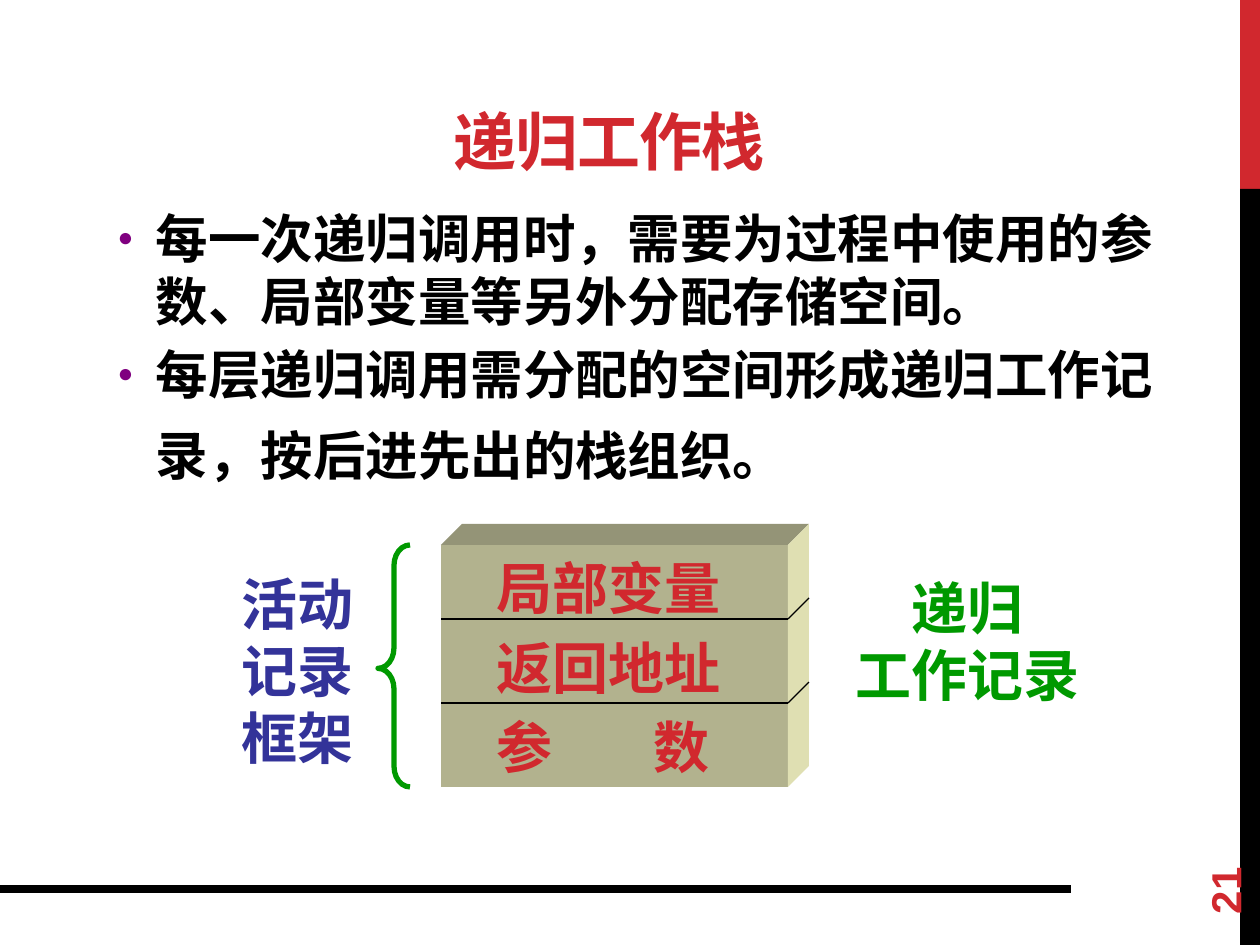
"""Build the slide on the recursion work stack."""
from dataclasses import dataclass

import pptx
import pptx.util
import pptx.dml.color
import pptx.enum.shapes
import pptx.enum.text
import pptx.oxml
import pptx.oxml.ns

SHAPE = pptx.enum.shapes.MSO_SHAPE
ALIGN = pptx.enum.text.PP_ALIGN
ANCHOR = pptx.enum.text.MSO_ANCHOR
SCALE = 914400 / 126


@dataclass(frozen=True)
class Theme:
    red: str = "D1282E"
    black: str = "000000"
    purple: str = "800080"
    green: str = "009900"
    blue: str = "333399"
    front: str = "B2B28E"
    top: str = "949477"
    side: str = "DFDFB2"
    title_size: int = 36
    body_size: int = 30
    tail_size: int = 40
    label_size: int = 32
    number_size: int = 24
    title_font: str = "Montserrat"
    body_font: str = "Arial"
    label_font: str = "Times New Roman"


THEME = Theme()
TITLE = "递归工作栈"
POINTS = [
    "每一次递归调用时，需要为过程中使用的参数、局部变量等另外分配存储空间。",
    "每层递归调用需分配的空间形成递归工作记录，按后进先出的栈组织。",
]
FIELDS = ["局部变量", "返回地址", "参\t数"]
FRAME_LABEL = ["活动记录框架"]
RECORD_LABEL = ["递归", "工作记录"]
PAGE_NUMBER = ["21"]
SIDE_BARS = [(0, 189, THEME.red), (189, 756, THEME.black)]
STACK = dict(left=441, top=545, right=788, bottom=787, depth=21)
DIVIDERS = [619, 703]


def px(length):
    return pptx.util.Emu(round(length * SCALE))


def rgb(colour):
    return pptx.dml.color.RGBColor.from_string(colour)


def place(shape, left, top, width, height):
    shape.left, shape.top, shape.width, shape.height = map(px, (left, top, width, height))


def write(box, lines, *, size, font, colour, align=ALIGN.LEFT, anchor=ANCHOR.TOP,
          wrap=True, gap=0, spacing=1.0):
    frame = box.text_frame
    frame.auto_size = pptx.enum.text.MSO_AUTO_SIZE.NONE
    frame.word_wrap = wrap
    frame.vertical_anchor = anchor
    for index, line in enumerate(lines):
        para = frame.paragraphs[0] if index == 0 else frame.add_paragraph()
        para.alignment = align
        para.line_spacing = spacing
        para.space_before = pptx.util.Pt(gap if index else 0)
        span = para.add_run()
        span.text = line
        span.font.size = pptx.util.Pt(size)
        span.font.name = font
        span.font.bold = True
        span.font.color.rgb = rgb(colour)
    return frame.paragraphs


def add_text(page, place_px, lines, **style):
    box = page.shapes.add_textbox(*map(px, place_px))
    write(box, lines, **style)
    return box


def paint(shape, colour):
    shape.shadow.inherit = False
    shape.fill.solid()
    shape.fill.fore_color.rgb = rgb(colour)
    shape.line.fill.background()


def add_block(page, place_px, colour):
    paint(page.shapes.add_shape(SHAPE.RECTANGLE, *map(px, place_px)), colour)


def add_face(page, corners, colour):
    builder = page.shapes.build_freeform(*corners[0], scale=SCALE)
    builder.add_line_segments(corners[1:], close=True)
    paint(builder.convert_to_shape(), colour)


def add_line(page, start, end, width):
    line = page.shapes.add_connector(
        pptx.enum.shapes.MSO_CONNECTOR.STRAIGHT, *map(px, start + end))
    line.line.color.rgb = rgb(THEME.black)
    line.line.width = pptx.util.Pt(width)
    line._element.spPr.append(pptx.oxml.parse_xml(
        f"<a:effectLst {pptx.oxml.ns.nsdecls('a')}/>"))


def append_xml(para, *elements):
    props = para._p.get_or_add_pPr()
    for element in elements:
        tag, rest = element.split(" ", 1)
        props.append(pptx.oxml.parse_xml(
            f"<a:{tag} {pptx.oxml.ns.nsdecls('a')} {rest}"))
    return props


def add_master_parts(page):
    for top, bottom, colour in SIDE_BARS:
        add_block(page, (1240, top, 20, bottom + 189 - top if top else bottom), colour)
    add_line(page, (0, 889), (1071, 889), 4.5)


def add_outline(page):
    title, body = page.shapes.title, page.placeholders[1]
    place(title, 189, 73, 840, 111)
    heading = write(title, [TITLE], size=THEME.title_size, font=THEME.title_font,
                    colour=THEME.red, align=ALIGN.CENTER, anchor=ANCHOR.BOTTOM)
    heading[0].runs[0]._r.get_or_add_rPr().set("spc", "-60")
    place(body, 105, 200, 1071, 704)
    points = write(body, POINTS, size=THEME.body_size, font=THEME.body_font,
                   colour=THEME.black, gap=5.8)
    for para in points:
        props = append_xml(
            para, f'buClr ><a:srgbClr val="{THEME.purple}"/></a:buClr>',
            'buSzPct val="50000"/>', 'buFont typeface="Arial"/>', 'buChar char="●"/>')
        props.set("marL", str(px(38)))
        props.set("indent", str(px(-38)))
    tail = points[-1].add_run()
    tail.text = " "
    tail.font.size = pptx.util.Pt(THEME.tail_size)
    tail.font.name = THEME.body_font


def add_stack(page):
    left, top, right, bottom, depth = STACK.values()
    add_block(page, (left, top, right - left, bottom - top), THEME.front)
    add_face(page, [(left, top), (left + depth, top - depth),
                    (right + depth, top - depth), (right, top)], THEME.top)
    add_face(page, [(right, top), (right + depth, top - depth),
                    (right + depth, bottom - depth), (right, bottom)], THEME.side)
    for level in DIVIDERS:
        add_line(page, (left, level), (right, level), 0.75)
        add_line(page, (right, level), (right + depth, level - depth), 0.75)
    brace = page.shapes.add_shape(
        SHAPE.LEFT_BRACE, *map(px, (378, top, 32, bottom - top)))
    brace.shadow.inherit = False
    brace.adjustments[0], brace.adjustments[1] = 0.64, 0.51
    brace.fill.background()
    brace.line.color.rgb = rgb(THEME.green)
    brace.line.width = pptx.util.Pt(3)


def add_labels(page):
    label = dict(size=THEME.label_size, font=THEME.label_font)
    fields = add_text(page, (484, 541, 282, 243), FIELDS, colour=THEME.red,
                      gap=3.2, spacing=1.1, **label)
    append_xml(fields.text_frame.paragraphs[-1],
               f'tabLst ><a:tab pos="{px(157)}" algn="l"/></a:tabLst>')
    add_text(page, (229, 563, 149, 214), FRAME_LABEL, colour=THEME.blue, **label)
    add_text(page, (842, 567, 251, 147), RECORD_LABEL, colour=THEME.green,
             align=ALIGN.CENTER, wrap=False, **label)
    number = add_text(page, (1134, 811, 181, 50), PAGE_NUMBER, size=THEME.number_size,
                      font=THEME.body_font, colour=THEME.red, anchor=ANCHOR.MIDDLE)
    number.rotation = 270


def main():
    deck = pptx.Presentation()
    deck.slide_width, deck.slide_height = px(1260), px(945)
    page = deck.slides.add_slide(deck.slide_layouts[1])
    add_master_parts(page)
    add_outline(page)
    add_stack(page)
    add_labels(page)
    deck.save("out.pptx")


if __name__ == "__main__":
    main()
